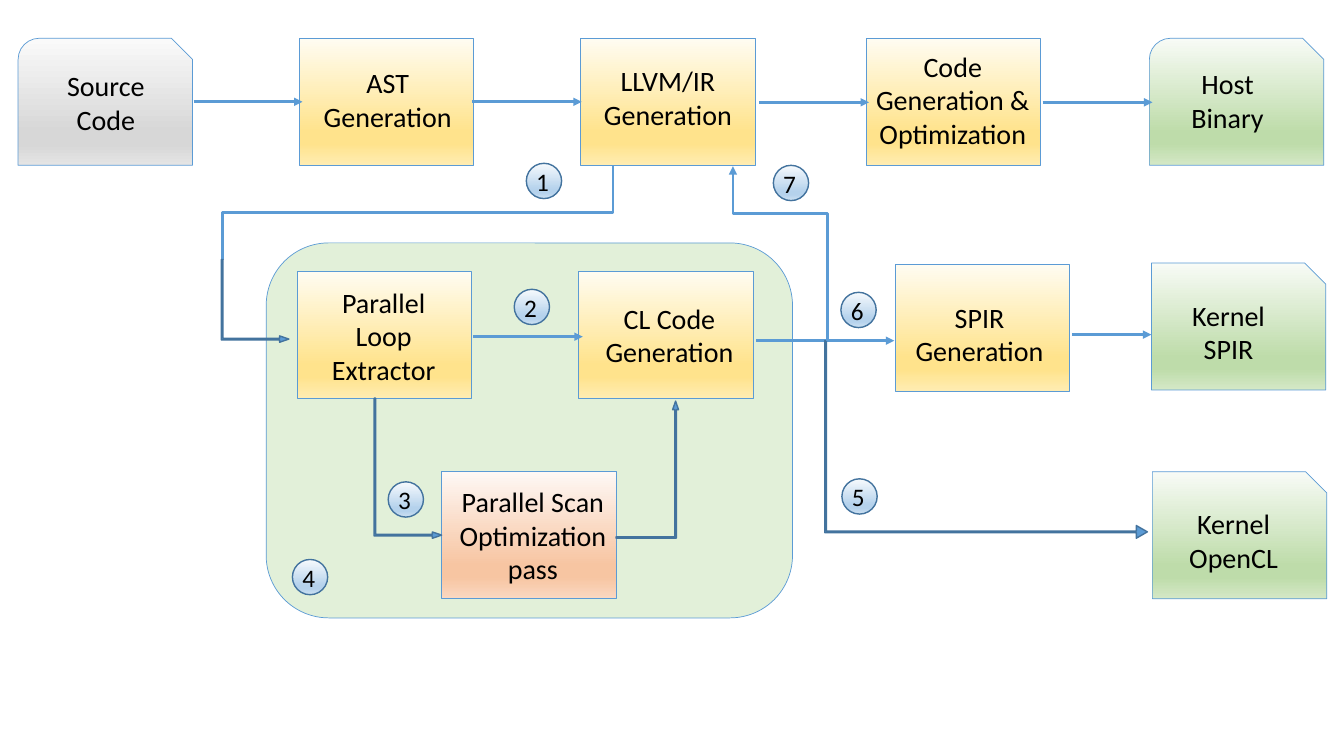
from copy import deepcopy

from lxml import etree
from pptx import Presentation
from pptx import util as u
from pptx.dml.color import RGBColor
from pptx.enum import shapes, text
from pptx.oxml.ns import qn

COLORS = {"ink": "000000", "edge": "5B9BD5", "dark_edge": "43739E", "panel": "E2F0D9"}
GRADIENTS = {
    "yellow": ("FFFCF2", "FFE38C", "FFE38C", "FFECB2"),
    "green": ("F8FBF6", "BEDCAA", "BEDCAA", "D4E8C6"),
    "gray": ("FAFAFA", "D7D7D7", "D7D7D7", "E4E4E4"),
    "orange": ("FEF8F5", "F7C5A2", "F7C5A2", "FAD8C1"),
    "blue": ("F7FAFD", "B5D2EC", "B5D2EC", "CEE1F2"),
}
STOPS = (0, 0.74, 0.83, 1)
COLUMNS, ROWS = 133.3, 75
STAGE = (17.3, 12.6)
BADGE = 3.5
KIND = shapes.MSO_SHAPE


class FlowPage:
    """Holds the style and the current slide; lengths are grid cells."""

    def __init__(self, deck):
        """Add a blank slide and size the grid to it."""
        self.page = deck.slides.add_slide(deck.slide_layouts[6])
        self.column = deck.slide_width / COLUMNS
        self.row = deck.slide_height / ROWS
        self.font = "Calibri"

    def cells(self, x, y):
        """Turn columns and rows into slide lengths."""
        return u.Emu(round(x * self.column)), u.Emu(round(y * self.row))

    def shape(self, kind, at, size, fill, edge="edge", weight=0.5):
        """Draw a preset shape with a plain or gradient fill."""
        box = self.page.shapes.add_shape(kind, *self.cells(*at), *self.cells(*size))
        box.shadow.inherit = False
        box.line.color.rgb = RGBColor.from_string(COLORS[edge])
        box.line.width = u.Pt(weight)
        if fill in GRADIENTS:
            self.shade(box, GRADIENTS[fill])
        else:
            box.fill.solid()
            box.fill.fore_color.rgb = RGBColor.from_string(COLORS[fill])
        return box

    def shade(self, box, colors):
        """Give a box a four-stop gradient running downwards."""
        box.fill.gradient()
        box.fill.gradient_angle = 270
        stop_list = box._element.spPr.find(qn("a:gradFill")).find(qn("a:gsLst"))
        for stop in list(stop_list):
            stop_list.append(deepcopy(stop))
        for stop, position, color in zip(box.fill.gradient_stops, STOPS, colors):
            stop.position = position
            stop.color.rgb = RGBColor.from_string(color)

    def label(self, words, at, size, points=20, align=text.PP_ALIGN.CENTER):
        """Write one paragraph per line of words."""
        box = self.page.shapes.add_textbox(*self.cells(*at), *self.cells(*size))
        frame = box.text_frame
        frame.text = words
        frame.word_wrap = True
        frame.auto_size = text.MSO_AUTO_SIZE.SHAPE_TO_FIT_TEXT
        for para in frame.paragraphs:
            para.alignment = align
            for span in para.runs:
                span.font.name = self.font
                span.font.size = u.Pt(points)
                span.font.color.rgb = RGBColor.from_string(COLORS["ink"])

    def stage(self, kind, at, fill, words, label_at, label_width, lines=2):
        """Draw a pipeline stage and its caption."""
        self.shape(kind, at, STAGE, fill)
        self.label(words, label_at, (label_width, 3.35 * lines + 1))

    def badge(self, number, x, y):
        """Draw a numbered circle."""
        self.shape(KIND.OVAL, (x, y), (BADGE, BADGE), "blue", "dark_edge", 1)
        self.label(str(number), (x, y - 0.2), (3.7, 4), 18, text.PP_ALIGN.LEFT)

    def connector(self, kind, start, end, head=True):
        """Draw a connector, with an arrowhead if asked."""
        link = self.page.shapes.add_connector(kind, *self.cells(*start), *self.cells(*end))
        link.line.color.rgb = RGBColor.from_string(COLORS["edge"])
        link.line.width = u.Pt(2)
        if head:
            etree.SubElement(link.line._get_or_add_ln(), qn("a:tailEnd"), type="triangle")
        etree.SubElement(link._element.spPr, qn("a:effectLst"))
        return link

    def arrow(self, x, y, end_x):
        """Draw a level arrow."""
        self.connector(shapes.MSO_CONNECTOR.STRAIGHT, (x, y), (end_x, y))

    def elbow(self, start, end, bend, head):
        """Route vertically, then leftwards, then vertically again."""
        (x1, y1), (x2, y2) = start, end
        middle_x, middle_y = (x1 + x2) / 2, (y1 + y2) / 2
        half_w, half_h = abs(y2 - y1) / 2, abs(x2 - x1) / 2
        link = self.connector(shapes.MSO_CONNECTOR.ELBOW,
                              (middle_x - half_w, middle_y - half_h),
                              (middle_x + half_w, middle_y + half_h), head)
        properties = link._element.spPr
        turn = properties.find(qn("a:xfrm"))
        rising = y2 < y1
        turn.set("rot", str((270 if rising else 90) * 60000))
        if rising:
            turn.set("flipV", "1")
        guides = properties.find(qn("a:prstGeom")).get_or_add_avLst()
        etree.SubElement(guides, qn("a:gd"), name="adj1", fmla=f"val {round(bend * 100000)}")

    def bent_arrow(self, at, size, angle=0, bends=(0.024, 0.047, 0.137)):
        """Draw a thin block arrow with one corner."""
        box = self.shape(KIND.BENT_UP_ARROW, at, size, "edge", "dark_edge", 1)
        box.rotation = angle
        for index, bend in enumerate(bends):
            box.adjustments[index] = bend


def build(flow):
    """Draw the compiler pipeline."""
    plain, file, kernel = KIND.RECTANGLE, KIND.SNIP_ROUND_RECTANGLE, KIND.SNIP_1_RECTANGLE
    flow.shape(KIND.ROUNDED_RECTANGLE, (26.4, 24.1), (52.2, 37.2), "panel")
    stages = [
        (file, (1.8, 3.8), "gray", "Source\nCode", (3.9, 6.3), 13.2),
        (plain, (29.7, 3.8), "yellow", "AST\nGeneration", (30.9, 6), 15.1),
        (plain, (57.6, 3.8), "yellow", "LLVM/IR\nGeneration", (58.6, 5.8), 15.3),
        (plain, (85.9, 3.8), "yellow", "Code\nGeneration & Optimization", (85.5, 4.4), 18, 3),
        (file, (114, 3.8), "green", "Host\nBinary", (115.3, 6.1), 12.9),
        (plain, (29.5, 26.9), "yellow", "Parallel Loop\nExtractor", (31.4, 27.8), 13.3, 3),
        (plain, (57.4, 26.9), "yellow", "CL Code Generation", (58, 29.4), 16.8),
        (plain, (88.8, 26.2), "yellow", "SPIR\nGeneration", (89.6, 29.3), 15.1),
        (kernel, (114.2, 26.1), "green", "Kernel\nSPIR", (116.2, 29.1), 11.3),
        (plain, (43.8, 46.8), "orange", "Parallel Scan\nOptimization\npass",
         (44.4, 47.6), 16.9, 3),
        (kernel, (114.3, 46.8), "green", "Kernel\nOpenCL", (115.9, 49.8), 12.9),
    ]
    for stage in stages:
        flow.stage(*stage)

    for x, y, end_x in [(19.2, 10.1, 30), (46.8, 10.1, 57.7), (75.3, 10.15, 86.2),
                        (103.4, 10.15, 114.3), (106.3, 33.2, 114.2),
                        (75, 33.8, 88.7), (46.9, 33.4, 57.8)]:
        flow.arrow(x, y, end_x)

    flow.bent_arrow((33.5, 43.1), (13.9, 6.7), 90)
    flow.bent_arrow((61.1, 39.8), (6.2, 13.6))
    flow.bent_arrow((88, 27.6), (19.6, 32), 90, (0.008, 0.032, 0.056))
    flow.elbow((82.1, 33.8), (72.7, 16.5), 0.73, True)
    flow.elbow((60.8, 16.4), (22.1, 25.8), 0.5, False)
    flow.bent_arrow((21.2, 26.5), (8.2, 6.7), 90)

    badges = [(52.2, 16.2), (51, 28.7), (38.5, 47.8), (29, 55.5),
              (83.5, 47.5), (83.4, 29), (76.7, 16.4)]
    for number, place in enumerate(badges, 1):
        flow.badge(number, *place)


deck = Presentation()
deck.slide_width, deck.slide_height = u.Inches(13.33), u.Inches(7.5)
build(FlowPage(deck))
deck.save("out.pptx")
